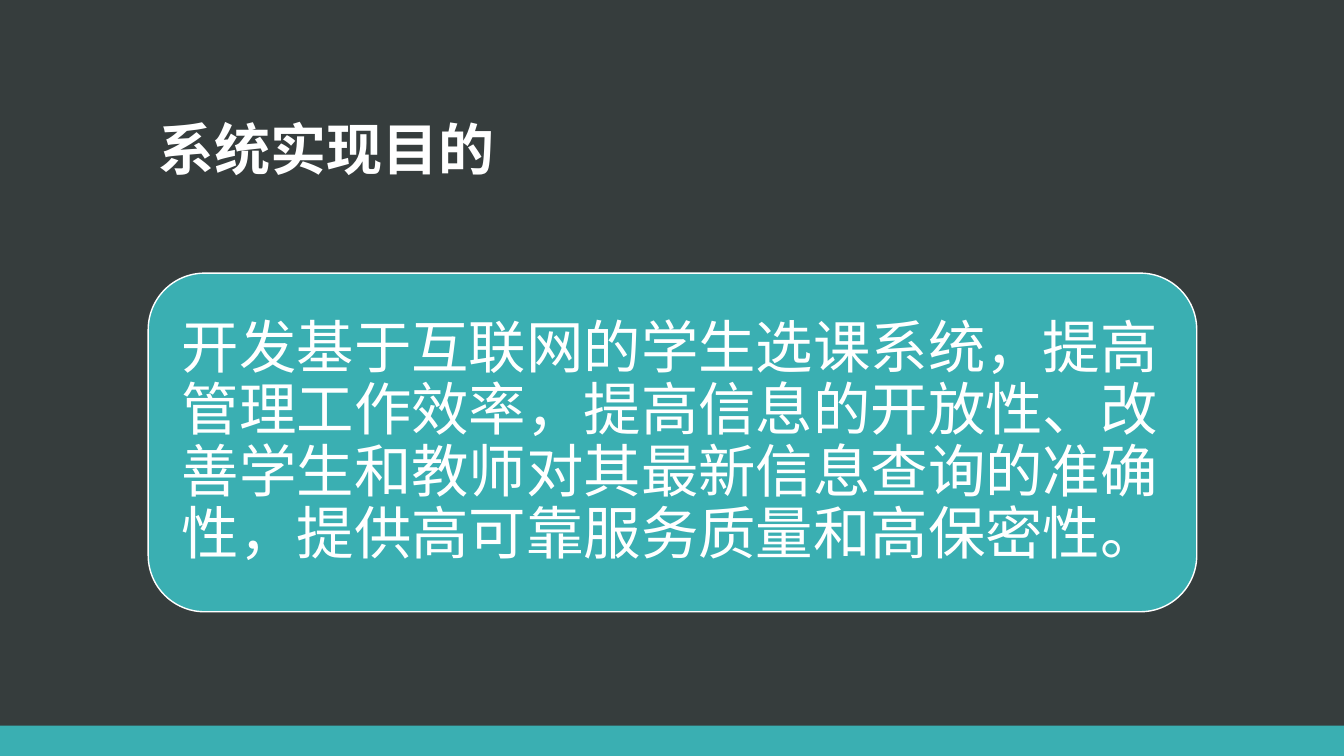
from pptx import Presentation
from pptx.dml.color import RGBColor
from pptx.enum.shapes import MSO_SHAPE as Shape
from pptx.enum.text import MSO_ANCHOR as Anchor, PP_ALIGN as Align
from pptx.oxml.ns import qn
from pptx.util import Inches, Pt
from lxml.etree import SubElement

BACKGROUND, TEAL, WHITE = "363D3D", "3AAFB2", "FFFFFF"
CJK_FONT = "Noto Sans CJK SC"
MARGIN, CONTENT_WIDTH = 1.47, 10.4


def color(value):
    return RGBColor.from_string(value)


class SlideBuilder:
    def __init__(self, presentation):
        self.slide = presentation.slides.add_slide(presentation.slide_layouts[5])
        background = self.slide.background.fill
        background.solid()
        background.fore_color.rgb = color(BACKGROUND)

    def place(self, shape, left, top, width, height):
        shape.left, shape.top = Inches(left), Inches(top)
        shape.width, shape.height = Inches(width), Inches(height)

    def set_text(self, shape, text, size, font_name, anchor, bold=False):
        frame = shape.text_frame
        frame.text = text
        frame.word_wrap = True
        frame.vertical_anchor = anchor
        paragraph = frame.paragraphs[0]
        paragraph.alignment = Align.LEFT
        paragraph.line_spacing = 0.9
        font = paragraph.font
        font.size, font.bold, font.name = Pt(size), bold, font_name
        font.color.rgb = color(WHITE)
        properties = paragraph._p.pPr.find(qn("a:defRPr"))
        SubElement(properties, qn("a:ea")).set("typeface", CJK_FONT)

    def title(self, text, *box):
        title = self.slide.shapes.title
        self.place(title, *box)
        self.set_text(title, text, 40, CJK_FONT, Anchor.BOTTOM, bold=True)

    def panel(self, kind, *box, outlined=False):
        shape = self.slide.shapes.add_shape(kind, *map(Inches, box))
        shape.shadow.inherit = False
        shape.fill.solid()
        shape.fill.fore_color.rgb = color(TEAL)
        if outlined:
            shape.line.color.rgb = color(WHITE)
            shape.line.width = Pt(1)
        else:
            shape.line.fill.background()
        return shape

    def text_panel(self, text, *box):
        shape = self.panel(Shape.ROUNDED_RECTANGLE, *box, outlined=True)
        frame = shape.text_frame
        frame.margin_left = frame.margin_right = Inches(0.17)
        frame.margin_top = frame.margin_bottom = Inches(0.17)
        self.set_text(shape, text, 41, "Arial", Anchor.MIDDLE)


presentation = Presentation()
presentation.slide_width, presentation.slide_height = Inches(13.33), Inches(7.5)

builder = SlideBuilder(presentation)
builder.panel(Shape.RECTANGLE, 0, 7.2, 13.33, 0.3)
builder.title("系统实现目的", MARGIN, 0.51, CONTENT_WIDTH, 1.35)
builder.text_panel(
    "开发基于互联网的学生选课系统，提高管理工作效率，提高信息的开放性、"
    "改善学生和教师对其最新信息查询的准确性，提供高可靠服务质量和高保密性。",
    MARGIN, 2.71, CONTENT_WIDTH, 3.36)

presentation.save("out.pptx")
